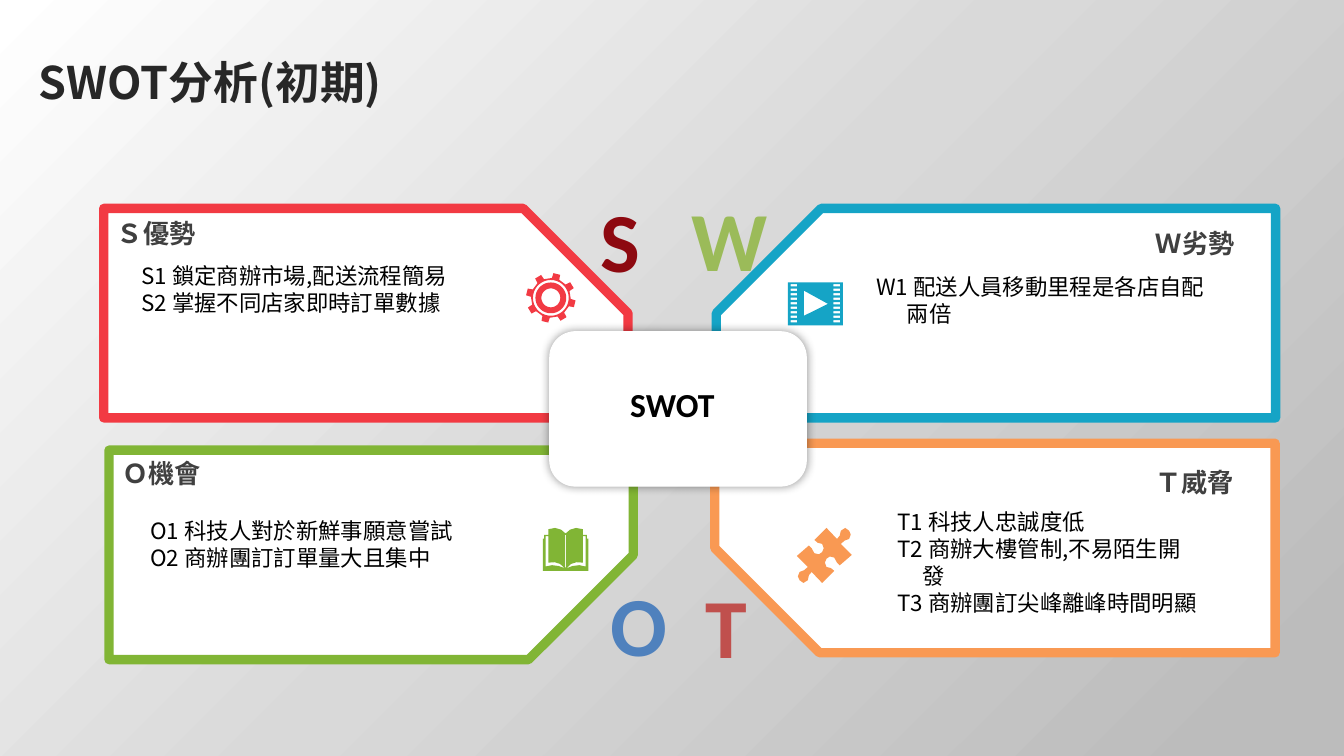
from copy import deepcopy
from math import cos, radians, sin

from lxml import etree
from pptx import Presentation
from pptx import util as u
from pptx.dml.color import RGBColor
from pptx.enum import shapes, text
from pptx.oxml.ns import qn

SANS = "Noto Sans CJK SC"
LATIN = "Calibri"
LEFT, RIGHT, MID = text.PP_ALIGN.LEFT, text.PP_ALIGN.RIGHT, text.PP_ALIGN.CENTER


def tint(fill, hue):
    """Give a fill or a font colour from a hex string."""
    if hasattr(fill, "solid"):
        fill.solid()
        fill = fill.fore_color
    fill.rgb = RGBColor.from_string(hue)


def place(box, part):
    """Shift a part, given relative to its box, to slide lengths."""
    return [u.Cm(n) for n in (box[0] + part[0], box[1] + part[1], *part[2:])]


def style(par, size, hue, face, bold=False, align=LEFT, lead=None, hang=0):
    if hang:
        props = par._p.get_or_add_pPr()
        props.set("marL", str(u.Cm(hang)))
        props.set("indent", str(-u.Cm(hang)))
    par.alignment = align
    if lead:
        par.line_spacing = u.Pt(lead)
    font = par.font
    font.size, font.bold, font.name = u.Pt(size), bold, face
    tint(font.color, hue)
    asian = etree.SubElement(font._rPr, qn("a:ea"))
    asian.set("typeface", SANS)


def write(slide, area, lines, wrap=True, anchor=text.MSO_ANCHOR.TOP, **look):
    frame = slide.shapes.add_textbox(*area).text_frame
    frame.word_wrap = wrap
    frame.vertical_anchor = anchor
    for i, line in enumerate(lines):
        par = frame.add_paragraph() if i else frame.paragraphs[0]
        par.text = line
        style(par, **look)


# Icons: closed loops in a unit square, inner loops are holes
def block(left, top, right, low):
    return [(left, top), (right, top), (right, low), (left, low)]


def gear():
    def spot(r, deg):
        return 0.5 + r * cos(radians(deg)), 0.5 + r * sin(radians(deg))

    tooth = [(0.4, -11), (0.5, -8), (0.5, 8), (0.4, 11)]
    rim = [spot(r, 45 * i + 14 + d) for i in range(8) for r, d in tooth]
    rings = [[spot(r, d) for d in range(0, 360, 10)] for r in (0.36, 0.31, 0.19)]
    return [rim, *rings]


def film():
    holes = [block(x, 0.04 + 0.105 * i, x + 0.12, 0.09 + 0.105 * i)
             for x in (0.05, 0.83) for i in range(9)]
    play = [(0.29, 0.19), (0.29, 0.78), (0.73, 0.5)]
    return [block(0, 0, 1, 1), *holes, play]


def book():
    def flip(pts):
        return [(1 - x, y) for x, y in pts]

    cover = [(0.5, 1), (1, 1), (1, 0.25), (0.97, 0.25), (0.97, 0.16), (0.88, 0.16),
             (0.88, 0.03), (0.73, 0), (0.6, 0.04), (0.5, 0.13)]
    gap = [(0.52, 0.94), (0.62, 0.84), (0.74, 0.8), (0.88, 0.81), (0.88, 0.19),
           (0.94, 0.19), (0.94, 0.9), (0.8, 0.87), (0.65, 0.89)]
    return [cover + flip(cover)[::-1], gap, flip(gap), block(0.49, 0.16, 0.51, 0.92)]


def puzzle():
    half = [(0.8, 0.05), (0.88, 0), (0.95, 0.05), (0.98, 0.12), (0.95, 0.2),
            (0.87, 0.23), (0.8, 0.29), (1, 0.49), (0.78, 0.68), (0.73, 0.63),
            (0.68, 0.54), (0.6, 0.52), (0.54, 0.56), (0.51, 0.63), (0.54, 0.71),
            (0.62, 0.73), (0.68, 0.78), (0.46, 1), (0.27, 0.8), (0.22, 0.86)]
    return [half + [(1 - x, 1 - y) for x, y in half]]


def icon(slide, area, loops, hue):
    left, top, wide, high = area
    loops = [[(int(left + x * wide), int(top + y * high)) for x, y in loop]
             for loop in loops]
    pen = slide.shapes.build_freeform(*loops[0][0])
    for i, loop in enumerate(loops):
        if i:
            pen.move_to(*loop[0])
        pen.add_line_segments(loop[1:], close=True)
    shape = pen.convert_to_shape()
    shape.shadow.inherit = False
    tint(shape.fill, hue)
    shape.line.fill.background()


def panel(slide, box, flips, hue, letter, head, body, sign):
    """Draw one quadrant; its parts are relative to the box."""
    # Frame with a cut corner
    frame = slide.shapes.add_shape(shapes.MSO_SHAPE.SNIP_1_RECTANGLE,
                                   *place(box, (0, 0, *box[2:])))
    frame.adjustments[0] = 0.5
    frame.shadow.inherit = False
    tint(frame.fill, "FFFFFF")
    tint(frame.line.fill, hue)
    frame.line.width = u.Pt(5)
    for side in flips:
        frame._element.spPr.xfrm.set("flip" + side, "1")
    # Big letter
    mark, shade, part = letter
    write(slide, place(box, part), [mark], anchor=text.MSO_ANCHOR.MIDDLE,
          size=45, hue=shade, face=LATIN, bold=True, align=MID)
    # Heading
    name, face, part = head
    write(slide, place(box, part), [name], size=14, hue="404040", face=face,
          bold=True, align=RIGHT if "H" in flips else LEFT, lead=17)
    # Points
    lines, hang, part = body
    write(slide, place(box, part), lines, size=12, hue="000000", face=SANS,
          lead=14.5, hang=hang)
    # Icon
    loops, part = sign
    icon(slide, place(box, part), loops, hue)


def hub(slide, box):
    """Draw the centre card with a soft shadow."""
    card = slide.shapes.add_shape(shapes.MSO_SHAPE.ROUNDED_RECTANGLE,
                                  *place(box, (0, 0, *box[2:])))
    card.shadow.inherit = False
    tint(card.fill, "FFFFFF")
    tint(card.line.fill, "FFFFFF")
    card.line.width = u.Pt(0.5)
    glow = etree.SubElement(card._element.spPr.find(qn("a:effectLst")),
                            qn("a:outerShdw"), blurRad=str(u.Pt(5)), dist="0", dir="0")
    black = etree.SubElement(glow, qn("a:srgbClr"), val="000000")
    etree.SubElement(black, qn("a:alpha"), val="40000")
    write(slide, place(box, (1.27, 0.86, 2.11, 1.02)), ["SWOT"], wrap=False,
          size=18, hue="000000", face=LATIN, bold=True)


def backdrop(slide):
    fill = slide.background.fill
    fill.gradient()
    fill.gradient_angle = 315
    first = fill.gradient_stops[0]._gs
    first.addnext(deepcopy(first))
    tones = [(0, "FFFFFF"), (0.49, "D9D9D9"), (0.94, "BCBCBC")]
    for stop, (spot, hue) in zip(fill.gradient_stops, tones):
        stop.position = spot
        tint(stop.color, hue)


def title(slide, box, words):
    head = slide.shapes.title
    head.left, head.top, head.width, head.height = place(box, (0, 0, *box[2:]))
    frame = head.text_frame
    frame.text = words
    frame.auto_size = text.MSO_AUTO_SIZE.NONE
    frame.vertical_anchor = text.MSO_ANCHOR.TOP
    style(frame.paragraphs[0], 24, "272727", SANS, bold=True, lead=36)


PANELS = [
    ((13.51, 8.38, 10.59, 3.96), "HV", "F99953",
     ("T", "C0504D", (-0.89, 2.34, 2.21, 2.18)),
     ("Ｔ威脅", LATIN, (3.51, 0.3, 6.55, 0.86)),
     (["T1 科技人忠誠度低", "T2 商辦大樓管制,不易陌生開\v發", "T3 商辦團訂尖峰離峰時間明顯"],
      0.48, (3.2, 1.09, 6.55, 2.31)),
     (puzzle(), (1.55, 1.6, 1.04, 1.04))),
    ((2.06, 8.51, 9.91, 3.96), "V", "81B535",
     ("O", "4F81BD", (8.99, 2.18, 2.06, 2.18)),
     ("Ｏ機會", LATIN, (0, 0, 6.12, 0.86)),
     (["O1 科技人對於新鮮事願意嘗試", "O2 商辦團訂訂單量大且集中"],
      0, (0.53, 1.14, 7.75, 1.27)),
     (book(), (8.2, 1.47, 0.86, 0.81))),
    ((13.54, 3.94, 10.57, 3.96), "H", "15A4C6",
     ("W", "9BBB59", (-0.86, -0.53, 2.21, 2.18)),
     ("Ｗ劣勢", SANS, (3.51, 0.23, 6.53, 0.86)),
     (["W1 配送人員移動里程是各店自配\v兩倍"], 0.58, (2.77, 1.09, 7.8, 1.27)),
     (film(), (1.35, 1.4, 1.04, 0.81))),
    ((1.96, 3.94, 9.91, 3.96), "", "F23A43",
     ("S", "8D0910", (8.74, -0.51, 2.06, 2.18)),
     ("Ｓ優勢", SANS, (0, 0.03, 6.81, 0.86)),
     (["S1 鎖定商辦市場,配送流程簡易", "S2 掌握不同店家即時訂單數據"],
      0, (0.46, 0.89, 10.11, 1.27)),
     (gear(), (7.98, 1.22, 0.94, 0.94))),
]


def main():
    deck = Presentation()
    deck.slide_width, deck.slide_height = u.Cm(25.4), u.Cm(14.29)
    slide = deck.slides.add_slide(deck.slide_layouts[5])
    backdrop(slide)
    title(slide, (0.48, 0.66, 24.23, 1.37), "SWOT分析(初期)")
    for parts in PANELS:
        panel(slide, *parts)
    hub(slide, (10.39, 6.27, 4.85, 2.92))
    deck.save("out.pptx")


if __name__ == "__main__":
    main()
